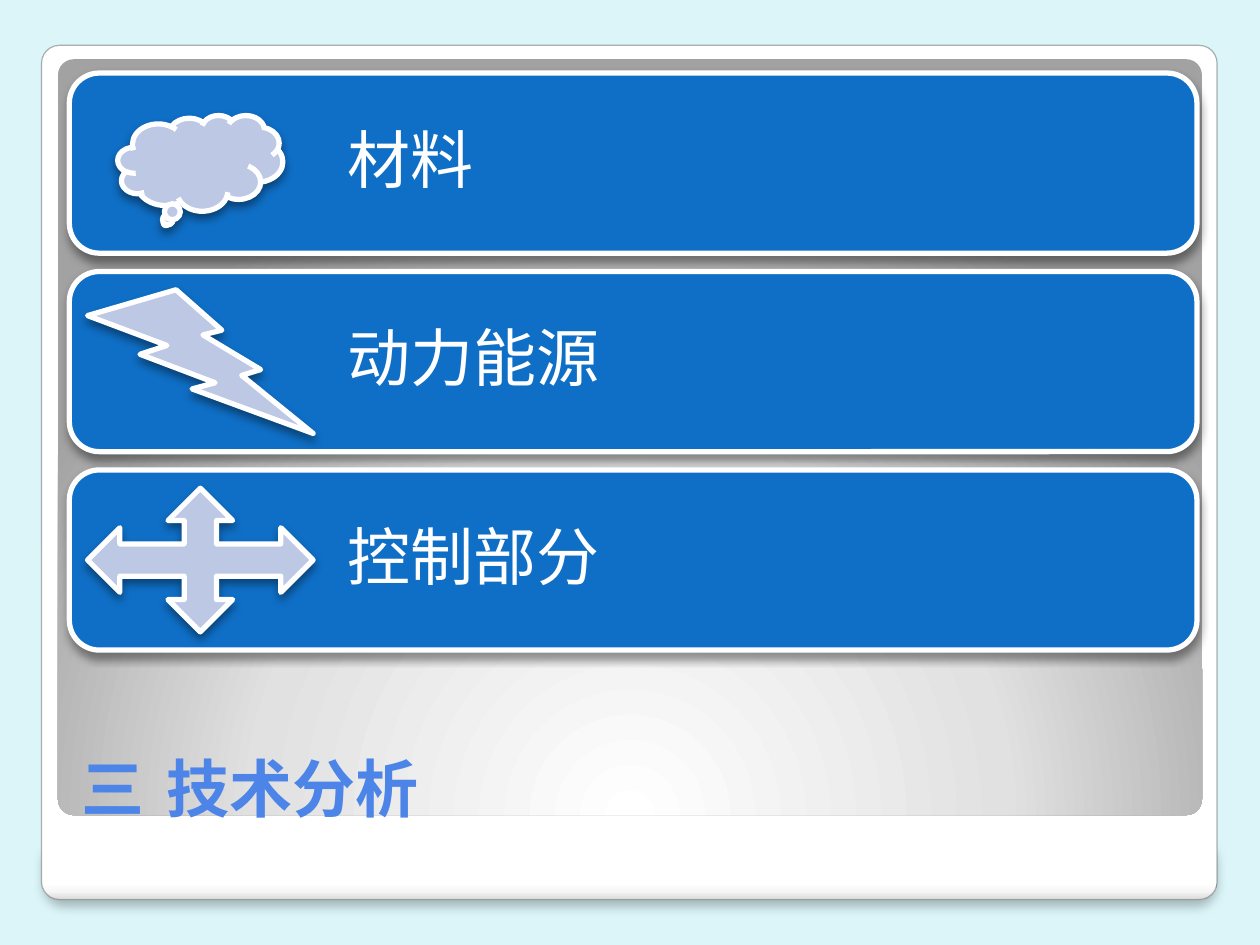
from dataclasses import dataclass

from lxml.etree import SubElement
from pptx import Presentation
from pptx.dml.color import RGBColor
from pptx.enum.shapes import MSO_SHAPE as Preset
from pptx.enum.text import MSO_ANCHOR as Anchor, MSO_AUTO_SIZE as AutoSize, PP_ALIGN as Align
from pptx.oxml.ns import qn
from pptx.util import Inches, Pt


@dataclass(frozen=True)
class Theme:
    backdrop: str = "DBF5F9"
    title: str = "4C84E8"
    band: str = "0F6FC6"
    icon: str = "BDC8E5"
    white: str = "FFFFFF"
    edge: str = "302F2C"
    shadow: str = "000000"
    frame_stops: tuple = ((0, "FFFFFF"), (98, "FFFFFF"), (99, "F7F7F7"), (100, "DADADA"))
    glow_stops: tuple = ((0, "FFFFFF"), (55, "E1E1E1"), (100, "A2A2A2"))
    font: str = "DejaVu Sans"
    size: int = 36


def add_node(parent, tag, **values):
    return SubElement(parent, qn(tag), {name: str(value) for name, value in values.items()})


def set_all(target, values):
    for name, value in values.items():
        setattr(target, name, value)


class SlideBuilder:
    def __init__(self, theme, page):
        self.theme = theme
        self.page = page
        fill = page.background.fill
        fill.solid()
        fill.fore_color.rgb = RGBColor.from_string(theme.backdrop)

    def shape(self, preset, at, fill=None, line=None, width=3, adjust=None):
        shape = self.page.shapes.add_shape(preset, *map(Inches, at))
        shape.shadow.inherit = False
        if adjust is not None:
            shape.adjustments[0] = adjust
        if fill:
            shape.fill.solid()
            shape.fill.fore_color.rgb = RGBColor.from_string(fill)
        if line:
            shape.line.color.rgb = RGBColor.from_string(line)
            shape.line.width = Pt(width)
        else:
            shape.line.fill.background()
        return shape

    def shadow(self, shape, alpha=40, blur=5.2, distance=3):
        effects = shape._element.spPr.find(qn("a:effectLst"))
        outer = add_node(effects, "a:outerShdw", blurRad=Pt(blur), dist=Pt(distance),
                         dir=5400000, algn="t", rotWithShape=0)
        color = add_node(outer, "a:srgbClr", val=self.theme.shadow)
        add_node(color, "a:alpha", val=alpha * 1000)

    def gradient(self, shape, stops, center=None):
        shape.fill.gradient()
        node = shape._element.spPr.find(qn("a:gradFill"))
        for child in list(node):
            node.remove(child)
        stop_list = add_node(node, "a:gsLst")
        for position, color in stops:
            stop = add_node(stop_list, "a:gs", pos=position * 1000)
            add_node(stop, "a:srgbClr", val=color)
        if center:
            route = add_node(node, "a:path", path="circle")
            add_node(route, "a:fillToRect", **center)
        else:
            add_node(node, "a:lin", ang=5400000, scaled=0)

    def frame(self, at, adjust):
        frame = self.shape(Preset.ROUNDED_RECTANGLE, at, line=self.theme.edge,
                           width=0.67, adjust=adjust)
        self.gradient(frame, self.theme.frame_stops)
        color = frame._element.spPr.find(qn("a:ln")).find(".//" + qn("a:srgbClr"))
        add_node(color, "a:alpha", val=37000)
        return frame

    def glow(self, at, adjust):
        panel = self.shape(Preset.ROUNDED_RECTANGLE, at, adjust=adjust)
        self.gradient(panel, self.theme.glow_stops, dict(l=50000, t=100000, r=50000, b=0))

    def add_text(self, frame, text, color, bold=False):
        para = frame.paragraphs[0]
        para.alignment = Align.LEFT
        span = para.add_run()
        span.text = text
        set_all(span.font, dict(name=self.theme.font, size=Pt(self.theme.size), bold=bold))
        span.font.color.rgb = RGBColor.from_string(color)
        add_node(span.font._element, "a:ea", typeface=self.theme.font)
        return para

    def title(self, text, at):
        title = self.page.shapes.title
        set_all(title, dict(zip(("left", "top", "width", "height"), map(Inches, at))))
        set_all(title.text_frame, dict(vertical_anchor=Anchor.BOTTOM, word_wrap=True,
                                       auto_size=AutoSize.NONE))
        self.add_text(title.text_frame, text, self.theme.title, bold=True)
        title._element.getparent().append(title._element)

    def label(self, text, at):
        box = self.page.shapes.add_textbox(*map(Inches, at))
        set_all(box.text_frame, dict(
            word_wrap=True, vertical_anchor=Anchor.MIDDLE,
            margin_left=Inches(0.28), margin_right=Inches(0.28),
            margin_top=Inches(0.14), margin_bottom=Inches(0.14)))
        para = self.add_text(box.text_frame, text, self.theme.white)
        set_all(para, dict(line_spacing=0.9, space_after=Pt(12.6)))

    def band(self, top, text, icon, icon_size):
        left, width, height = 0.55, 8.95, 1.43
        icon_width, icon_height = icon_size
        band = self.shape(Preset.ROUNDED_RECTANGLE, (left, top, width, height),
                          self.theme.band, self.theme.white)
        self.shadow(band)
        self.label(text, (2.48, top, 6.26, height))
        icon_center = 1.59
        symbol = self.shape(icon, (icon_center - icon_width / 2,
                                   top + (height - icon_height) / 2, icon_width, icon_height),
                            self.theme.icon, self.theme.white)
        self.shadow(symbol)


def main():
    deck = Presentation()
    set_all(deck, dict(slide_width=Inches(10), slide_height=Inches(7.5)))
    page = deck.slides.add_slide(deck.slide_layouts[5])
    builder = SlideBuilder(Theme(), page)

    base = builder.frame((0.35, 6.63, 9.3, 0.5), 0.333)
    builder.shadow(base, alpha=25, blur=6, distance=4)
    builder.frame((0.33, 0.36, 9.33, 6.78), 0.021)
    builder.glow((0.46, 0.47, 9.08, 6), 0.021)
    builder.title("三 技术分析", (0.55, 5.45, 8.95, 1.15))

    topics = (
        ("材料", Preset.CLOUD_CALLOUT, (1.31, 0.76)),
        ("动力能源", Preset.LIGHTNING_BOLT, (1.79, 1.14)),
        ("控制部分", Preset.QUAD_ARROW, (1.79, 1.14)),
    )
    first_top, last_top = 0.58, 3.73
    pitch = (last_top - first_top) / (len(topics) - 1)
    for index, topic in enumerate(topics):
        builder.band(first_top + index * pitch, *topic)
    deck.save("out.pptx")


if __name__ == "__main__":
    main()
